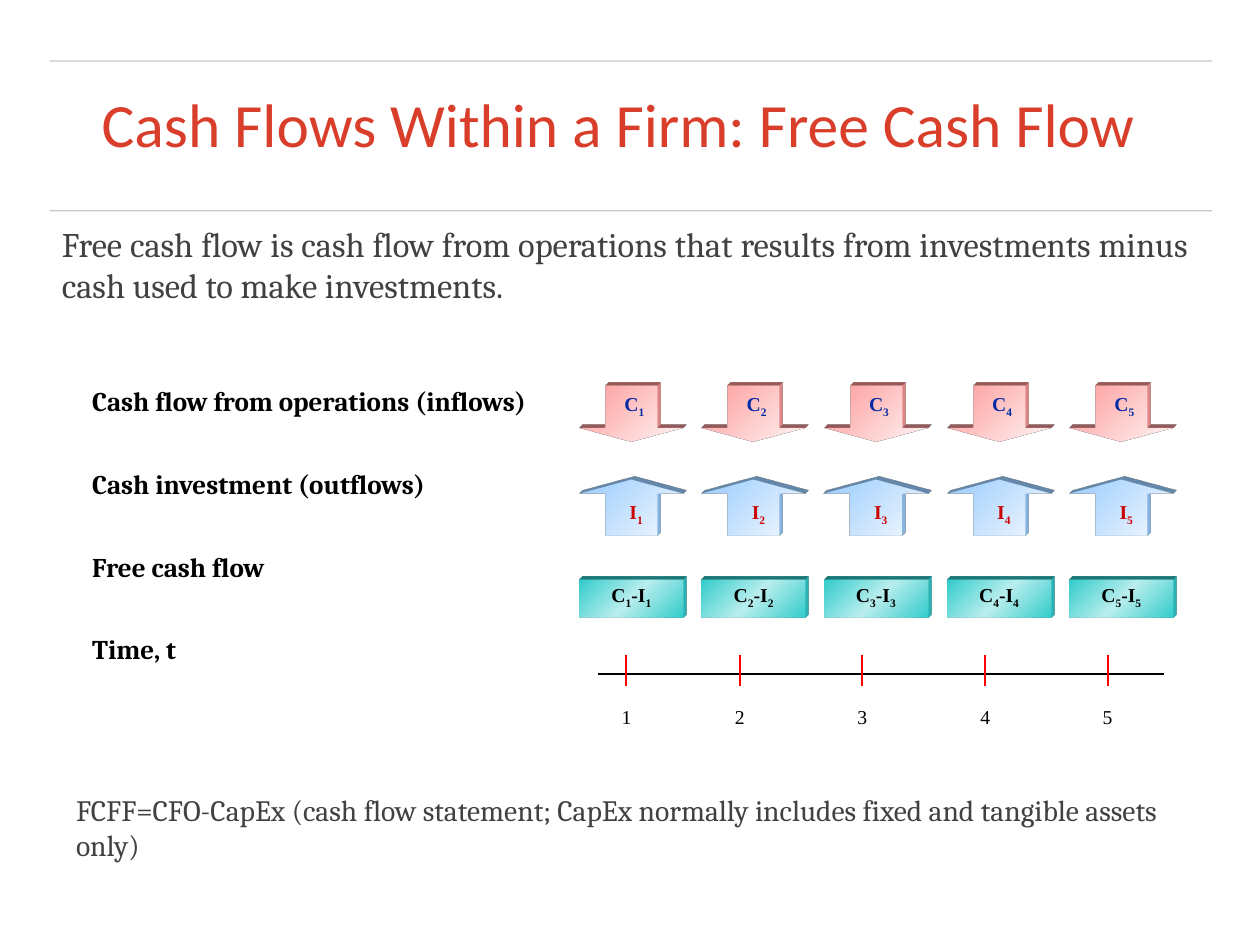
import pptx
import pptx.dml.color
import pptx.enum.shapes
import pptx.enum.text
import pptx.oxml
import pptx.oxml.ns
import pptx.util

PX = 9144  # 100 px to the inch
COLORS = {
    "title": "D93E2B", "body": "414141", "ink": "000000", "rule": "444444",
    "inflow": "042AA4", "outflow": "CC0000", "tick": "FF0000",
}
GRADIENTS = {
    "inflow": ("FF9999", "FFF6F6"),
    "outflow": ("99CCFF", "F6FAFF"),
    "free": ("33CCCC", "BAEEEE", "33CCCC"),
}
NS = pptx.oxml.ns.nsdecls("a")
ALIGN = pptx.enum.text.PP_ALIGN
SHAPE = pptx.enum.shapes.MSO_SHAPE
TIMES = "Times New Roman"
COLUMN_LEFT, COLUMN_PITCH, COLUMN_WIDTH = 654, 138.25, 117
TICKS = (707, 835, 973, 1112, 1250)
ROW_LABELS = ("Cash flow from operations (inflows)", "Cash investment (outflows)",
              "Free cash flow", "Time, t")


def rgb(color):
    return pptx.dml.color.RGBColor.from_string(COLORS[color])


class SlideBuilder:
    def __init__(self, slide):
        self.slide = slide

    def place(self, shape, box):
        shape.left, shape.top, shape.width, shape.height = (v * PX for v in box)

    def frame(self, shape, insets, anchor=pptx.enum.text.MSO_ANCHOR.TOP):
        frame = shape.text_frame
        frame.word_wrap = True
        frame.auto_size = pptx.enum.text.MSO_AUTO_SIZE.NONE
        frame.vertical_anchor = anchor
        frame.margin_left = frame.margin_right = insets[0] * PX
        frame.margin_top = frame.margin_bottom = insets[1] * PX
        return frame

    def add_spans(self, para, parts, font, size, color, bold=False, align=ALIGN.LEFT):
        """Add one run per part; whole numbers become subscripts."""
        para.alignment = align
        for part in parts:
            span = para.add_run()
            span.text = str(part)
            span.font.name = font
            span.font.size = pptx.util.Pt(size)
            span.font.bold = bold
            span.font.color.rgb = rgb(color)
            if isinstance(part, int):
                span._r.get_or_add_rPr().set("baseline", "-25000")

    def title(self, box, text):
        shape = self.slide.shapes.title
        self.place(shape, box)
        frame = self.frame(shape, (6, 6), pptx.enum.text.MSO_ANCHOR.MIDDLE)
        para = frame.paragraphs[0]
        para.line_spacing = 0.9
        self.add_spans(para, (text,), "Calibri", 50, "title", align=ALIGN.CENTER)

    def labels(self, box, texts):
        shape = self.slide.placeholders[1]
        self.place(shape, box)
        frame = self.frame(shape, (7, 3))
        for index, text in enumerate(texts):
            para = frame.add_paragraph() if index else frame.paragraphs[0]
            para.line_spacing = 0.85
            para.space_before = pptx.util.Pt(0)
            para.space_after = pptx.util.Pt(44.8)
            properties = para._p.get_or_add_pPr()
            properties.set("marL", str(12 * PX))
            properties.set("indent", str(25 * PX))
            properties.append(pptx.oxml.parse_xml(f"<a:buNone {NS}/>"))
            self.add_spans(para, (text,), "Cambria", 22, "ink", bold=True)

    def text(self, box, parts, font, size, color, insets=(7, 3), **style):
        shape = self.slide.shapes.add_textbox(*(v * PX for v in box))
        frame = self.frame(shape, insets)
        self.add_spans(frame.paragraphs[0], parts, font, size, color, **style)

    def block(self, kind, box, gradient, rotation=0):
        """Add a gradient shape with a shallow extrusion to the top right."""
        shape = self.slide.shapes.add_shape(kind, *(v * PX for v in box))
        shape.rotation = rotation
        colors = GRADIENTS[gradient]
        stops = "".join(
            f'<a:gs pos="{100000 * i // (len(colors) - 1)}"><a:srgbClr val="{c}"/></a:gs>'
            for i, c in enumerate(colors))
        properties = shape._element.spPr
        properties.append(pptx.oxml.parse_xml(
            f'<a:gradFill {NS} rotWithShape="1"><a:gsLst>{stops}</a:gsLst>'
            '<a:lin ang="2700000" scaled="1"/></a:gradFill>'))
        shape.line.fill.background()
        shape.shadow.inherit = False
        properties.append(pptx.oxml.parse_xml(
            f'<a:scene3d {NS}><a:camera prst="legacyObliqueTopRight"/>'
            '<a:lightRig rig="legacyFlat3" dir="b"/></a:scene3d>'))
        properties.append(pptx.oxml.parse_xml(
            f'<a:sp3d {NS} extrusionH="100000" prstMaterial="legacyMatte">'
            f'<a:extrusionClr><a:srgbClr val="{colors[0]}"/></a:extrusionClr></a:sp3d>'))
        if kind == SHAPE.DOWN_ARROW:
            shape.adjustments[0] = 0.5
            shape.adjustments[1] = 0.25

    def line(self, start, end, color, width, alpha=100):
        line = self.slide.shapes.add_connector(
            pptx.enum.shapes.MSO_CONNECTOR.STRAIGHT, *(v * PX for v in start + end))
        line.line.color.rgb = rgb(color)
        line.line.width = pptx.util.Pt(width)
        properties = line._element.spPr
        if alpha < 100:
            tint = properties.find(".//" + pptx.oxml.ns.qn("a:srgbClr"))
            tint.append(pptx.oxml.parse_xml(f'<a:alpha {NS} val="{alpha * 1000}"/>'))
        properties.append(pptx.oxml.parse_xml(f"<a:effectLst {NS}/>"))


def main():
    deck = pptx.Presentation()
    deck.slide_width, deck.slide_height = 1422 * PX, 1067 * PX
    page = SlideBuilder(deck.slides.add_slide(deck.slide_layouts[1]))

    for y in (69, 238):
        page.line((56, y), (1368, y), "rule", 1, alpha=30)
    page.title((29, 78, 1338, 133), "Cash Flows Within a Firm: Free Cash Flow")
    page.text((60, 247, 1290, 104),
              ("Free cash flow is cash flow from operations that results from "
               "investments minus cash used to make investments.",),
              "Cambria", 28, "body", insets=(10, 5), align=ALIGN.JUSTIFY)
    page.labels((60, 437, 651, 480), ROW_LABELS)

    page.line((675, 761), (1314, 761), "ink", 1.5)
    centered = {"bold": True, "align": ALIGN.CENTER}
    for index, tick in enumerate(TICKS):
        period = index + 1
        left = round(COLUMN_LEFT + COLUMN_PITCH * index)
        page.block(SHAPE.DOWN_ARROW, (left, 436, COLUMN_WIDTH, 63), "inflow")
        page.text((left + 25, 439, 74, 42), ("C", period), TIMES, 16, "inflow", **centered)
        page.block(SHAPE.DOWN_ARROW, (left, 542, COLUMN_WIDTH, 63), "outflow", rotation=180)
        page.text((left + 27, 561, 74, 42), ("I", period), TIMES, 16, "outflow", **centered)
        free_box = (left, 655, COLUMN_WIDTH, 42)
        page.block(SHAPE.RECTANGLE, free_box, "free")
        page.text(free_box, ("C", period, "-I", period), TIMES, 16, "ink", **centered)
        page.line((tick, 740), (tick, 775), "tick", 1.5)
        page.text((tick - 21, 793, 42, 42), (str(period),), TIMES, 16, "ink",
                  align=ALIGN.CENTER)

    page.text((76, 889, 1291, 91),
              ("FCFF=CFO-CapEx (cash flow statement; CapEx normally includes "
               "fixed and tangible assets only)",),
              "Cambria", 24, "body", insets=(10, 5))
    deck.save("out.pptx")


if __name__ == "__main__":
    main()
